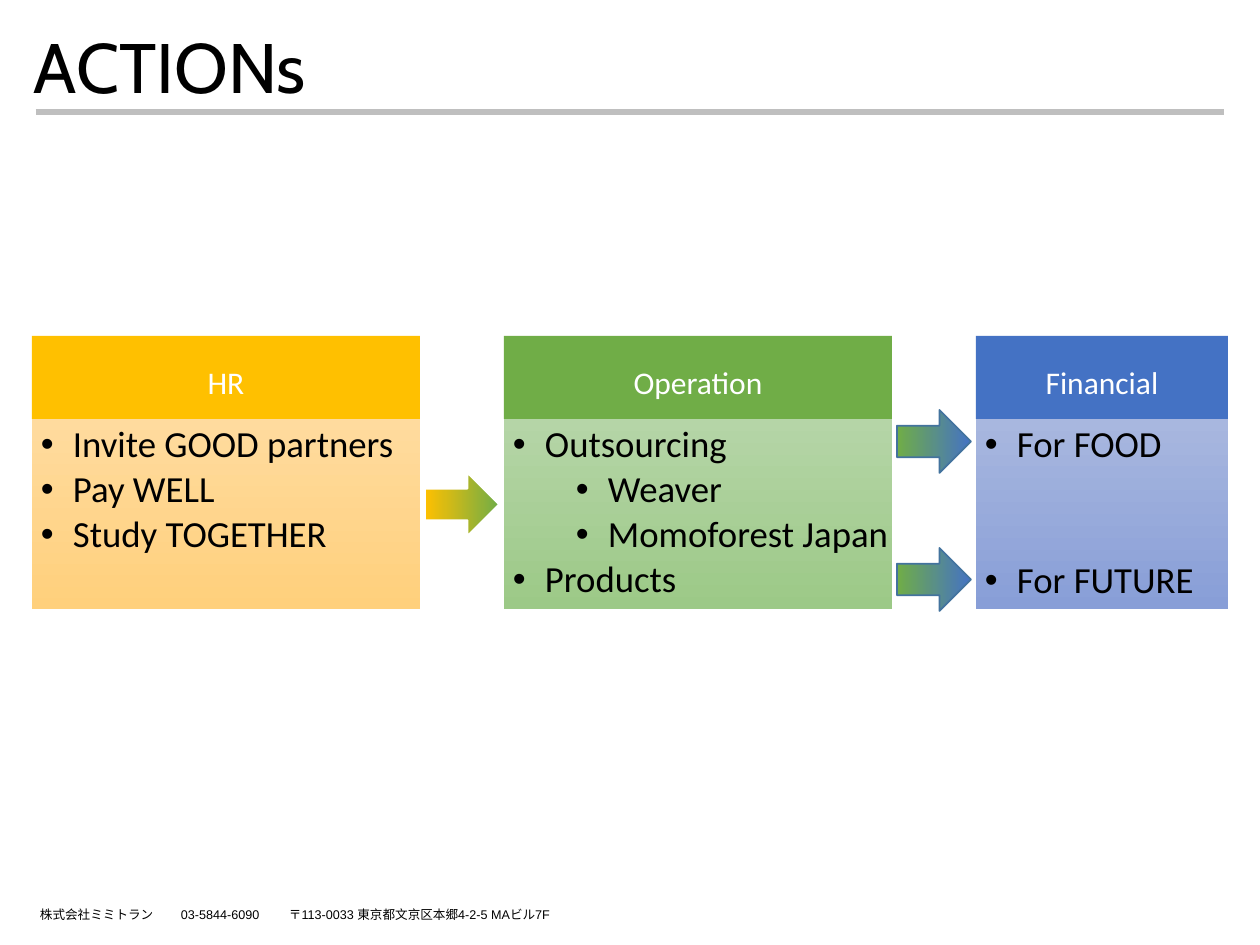
from lxml import etree
from pptx import Presentation
from pptx import util as u
from pptx.dml.color import RGBColor
from pptx.enum import shapes, text
from pptx.oxml.ns import qn

PX_PER_INCH = 126
COLORS = {
    "black": "000000", "white": "FFFFFF", "rule": "BFBFBF", "edge": "43739E",
    "hr": "FFC000", "hr_top": "FFDB9E", "hr_end": "FFD07C",
    "op": "70AD47", "op_top": "B5D5A7", "op_end": "9CC987",
    "fin": "4472C4", "fin_top": "A8B7DF", "fin_end": "889ED7",
}
PITCH, LEFT = 472, 32
HEAD_TOP, BODY_TOP, BODY_END = 336, 419, 609
ARROW_W, ARROW_H = 74, 63

# key, heading, width, items as (text, level, space before in points)
COLUMNS = [
    ("hr", "HR", 388,
     [("Invite GOOD partners", 0, 0), ("Pay WELL", 0, 0), ("Study TOGETHER", 0, 0)]),
    ("op", "Operation", 388,
     [("Outsourcing", 0, 0), ("Weaver", 1, 0), ("Momoforest Japan", 1, 0),
      ("Products", 0, 0)]),
    ("fin", "Financial", 252, [("For FOOD", 0, 0), ("For FUTURE", 0, 52)]),
]
# column to the left, vertical centre, outline
ARROWS = [(0, 504, "white"), (1, 441, "edge"), (1, 579, "edge")]


def px(n):
    return u.Emu(round(n * 914400 / PX_PER_INCH))


def rgb(name):
    return RGBColor.from_string(COLORS[name])


def apply(obj, **values):
    for name, value in values.items():
        setattr(obj, name, value)


def place(sp, x, y, w, h):
    apply(sp, left=px(x), top=px(y), width=px(w), height=px(h))


def set_frame(tf, anchor, l=0, t=0, r=0, b=0):
    apply(tf, word_wrap=True, auto_size=text.MSO_AUTO_SIZE.NONE, vertical_anchor=anchor,
          margin_left=px(l), margin_top=px(t), margin_right=px(r), margin_bottom=px(b))


def write(p, words, size, font, color, align=text.PP_ALIGN.LEFT, **spacing):
    apply(p, alignment=align, **spacing)
    r = p.add_run()
    r.text = words
    apply(r.font, size=u.Pt(size), name=font, bold=False)
    r.font.color.rgb = rgb(color)
    for tag in ("a:ea", "a:cs"):
        etree.SubElement(r.font._element, qn(tag), typeface=font)


def gradient(sp, start, end, angle):
    sp.fill.gradient()
    sp.fill.gradient_angle = angle
    for stop, color in zip(sp.fill.gradient_stops, (start, end)):
        stop.color.rgb = rgb(color)


def add_title(s, words):
    sp = s.shapes.title
    place(sp, 21, 31, 955, 80)
    set_frame(sp.text_frame, text.MSO_ANCHOR.MIDDLE, l=13, r=13)
    write(sp.text_frame.paragraphs[0], words, 40, "Cabin", "black", line_spacing=0.9)


def add_rule(s):
    line = s.shapes.add_connector(shapes.MSO_CONNECTOR.STRAIGHT,
                                  px(36), px(112), px(1224), px(112))
    line.line.color.rgb = rgb("rule")
    line.line.width = u.Pt(3)
    etree.SubElement(line._element.spPr, qn("a:effectLst"))


def add_footer(s, parts, stops):
    sp = s.shapes.add_textbox(px(28), px(901), px(630), px(28))
    set_frame(sp.text_frame, text.MSO_ANCHOR.MIDDLE, l=12, r=12)
    p = sp.text_frame.paragraphs[0]
    write(p, "\t".join(parts), 7.2, "Arial", "black")
    tabs = etree.SubElement(p._p.get_or_add_pPr(), qn("a:tabLst"))
    for stop in stops:
        etree.SubElement(tabs, qn("a:tab"), pos=str(px(stop)), algn="l")


def add_heading(s, x, w, words, color):
    sp = s.shapes.add_shape(shapes.MSO_SHAPE.RECTANGLE, px(x), px(HEAD_TOP),
                            px(w), px(BODY_TOP - HEAD_TOP))
    sp.shadow.inherit = False
    sp.fill.solid()
    sp.fill.fore_color.rgb = rgb(color)
    sp.line.fill.background()
    set_frame(sp.text_frame, text.MSO_ANCHOR.MIDDLE, t=8)
    write(sp.text_frame.paragraphs[0], words, 18, "Calibri", "white",
          text.PP_ALIGN.CENTER)


def fill_list(sp, x, w, items, key):
    place(sp, x, BODY_TOP, w, BODY_END - BODY_TOP)
    gradient(sp, key + "_top", key + "_end", 270)
    tf = sp.text_frame
    set_frame(tf, text.MSO_ANCHOR.TOP, l=9, t=7)
    for i, (words, level, before) in enumerate(items):
        p = tf.add_paragraph() if i else tf.paragraphs[0]
        write(p, words, 21, "Calibri", "black", level=level, line_spacing=0.9,
              space_before=u.Pt(before), space_after=u.Pt(3))
        pPr = p._p.get_or_add_pPr()
        pPr.set("marL", str(px(32 + 63 * level)))
        pPr.set("indent", str(-px(32)))
        etree.SubElement(pPr, qn("a:buFont"), typeface="Arial")
        etree.SubElement(pPr, qn("a:buChar"), char="•")


def add_arrow(s, column, middle, edge):
    key, _, width, _ = COLUMNS[column]
    gap_middle = LEFT + column * PITCH + (width + PITCH) // 2
    sp = s.shapes.add_shape(shapes.MSO_SHAPE.RIGHT_ARROW, px(gap_middle - ARROW_W // 2),
                            px(middle - ARROW_H // 2), px(ARROW_W), px(ARROW_H))
    sp.shadow.inherit = False
    gradient(sp, key, COLUMNS[column + 1][0], 0)
    sp.line.color.rgb = rgb(edge)
    sp.line.width = u.Pt(1)


def main():
    prs = Presentation()
    prs.slide_width, prs.slide_height = u.Inches(10), u.Inches(7.5)
    s = prs.slides.add_slide(prs.slide_layouts.get_by_name("Comparison"))

    # Frame of the page
    add_rule(s)
    add_footer(s, ["株式会社ミミトラン", "03-5844-6090",
                   "〒113-0033 東京都文京区本郷4-2-5 MAビル7F"], [141, 249])
    add_title(s, "ACTIONs")

    # Columns
    _, *bodies, spare = s.placeholders
    spare._element.getparent().remove(spare._element)
    for i, (key, heading, width, items) in enumerate(COLUMNS):
        x = LEFT + i * PITCH
        add_heading(s, x, width, heading, key)
        fill_list(bodies[i], x, width, items, key)

    # Arrows between the columns
    for arrow in ARROWS:
        add_arrow(s, *arrow)

    prs.save("out.pptx")


if __name__ == "__main__":
    main()
